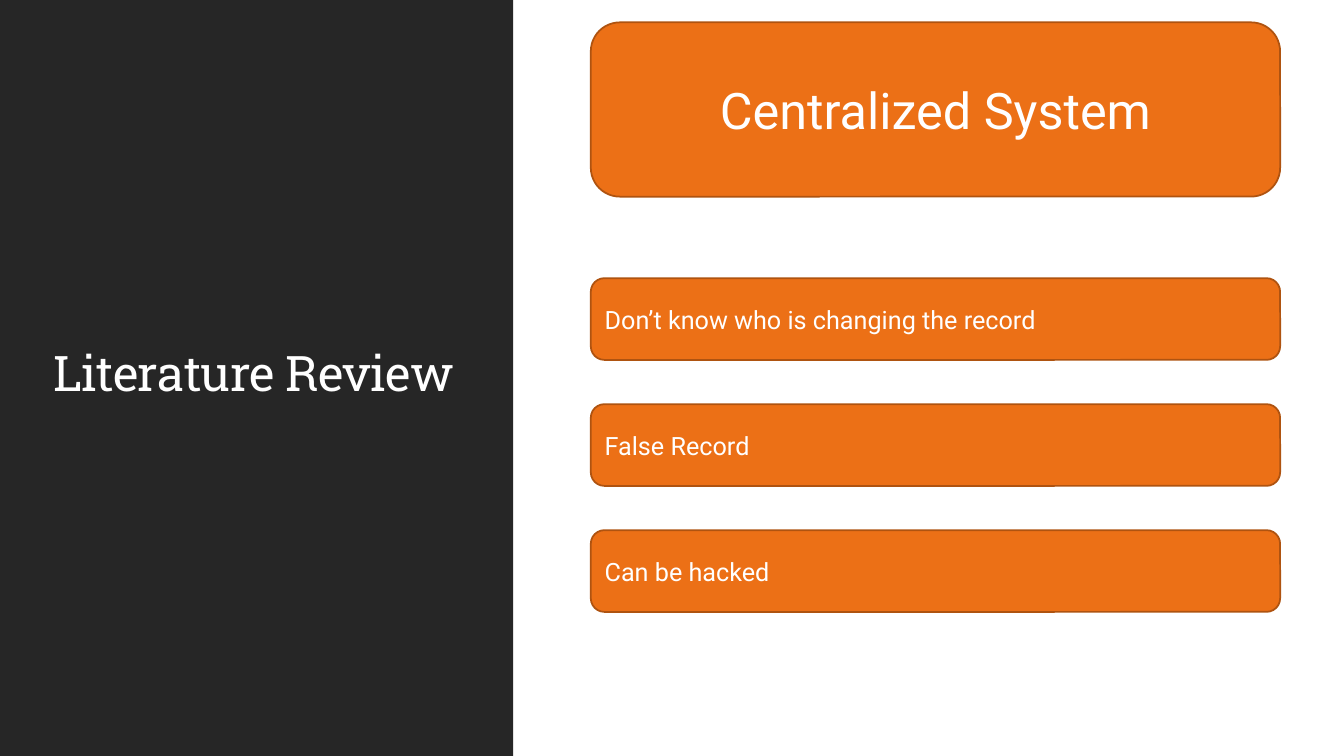
"""Builds the literature review slide on centralized systems."""
from dataclasses import dataclass

from pptx import Presentation
from pptx.dml.color import RGBColor
from pptx.enum.shapes import MSO_SHAPE
from pptx.enum.text import MSO_ANCHOR, PP_ALIGN
from pptx.util import Pt

RECTANGLE = MSO_SHAPE.RECTANGLE
ROUNDED = MSO_SHAPE.ROUNDED_RECTANGLE
MIDDLE, BOTTOM = MSO_ANCHOR.MIDDLE, MSO_ANCHOR.BOTTOM
LEFT, CENTER = PP_ALIGN.LEFT, PP_ALIGN.CENTER
BLANK_LAYOUT = 6

CARD_LEFT, CARD_WIDTH = 422, 492.4
POINTS_TOP, POINT_HEIGHT, POINT_PITCH = 198.7, 58.4, 90
POINTS = ["Don’t know who is changing the record", "False Record", "Can be hacked"]


@dataclass(frozen=True)
class Theme:
    """Colours, fonts and type sizes of the slide."""

    panel: RGBColor = RGBColor.from_string("262626")
    card: RGBColor = RGBColor.from_string("EC7016")
    outline: RGBColor = RGBColor.from_string("AF5310")
    text: RGBColor = RGBColor.from_string("FFFFFF")
    title_font: str = "Roboto Slab"
    body_font: str = "Roboto"
    title_size: float = 35
    heading_size: float = 36
    point_size: float = 18
    outline_width: float = 1.25


THEME = Theme()


def add_block(page, kind, left, top, width, height, fill):
    """Add a flat filled shape without outline."""
    block = page.shapes.add_shape(kind, Pt(left), Pt(top), Pt(width), Pt(height))
    block.shadow.inherit = False
    block.fill.solid()
    block.fill.fore_color.rgb = fill
    block.line.fill.background()
    return block


def write(shape, words, font, size, anchor, align=LEFT):
    """Write one formatted paragraph into a shape and return it."""
    frame = shape.text_frame
    frame.word_wrap = True
    frame.vertical_anchor = anchor
    frame.text = words
    para = frame.paragraphs[0]
    para.alignment = align
    for span in para.runs:
        span.font.name = font
        span.font.size = Pt(size)
        span.font.color.rgb = THEME.text
    return para


def add_title(page, words):
    """Add the title on the dark panel, with tight letter and line spacing."""
    box = page.shapes.add_textbox(Pt(31), Pt(126), Pt(312), Pt(165))
    para = write(box, words, THEME.title_font, THEME.title_size, BOTTOM)
    para.line_spacing = 0.9
    for span in para.runs:
        span._r.get_or_add_rPr().set("spc", "-50")


def add_card(page, words, top, height, size, align=LEFT):
    """Add an outlined rounded card with its text."""
    card = add_block(page, ROUNDED, CARD_LEFT, top, CARD_WIDTH, height, THEME.card)
    card.line.color.rgb = THEME.outline
    card.line.width = Pt(THEME.outline_width)
    write(card, words, THEME.body_font, size, MIDDLE, align)


def main():
    """Build the slide and save the deck."""
    deck = Presentation()
    deck.slide_width, deck.slide_height = Pt(960), Pt(540)
    page = deck.slides.add_slide(deck.slide_layouts[BLANK_LAYOUT])
    add_block(page, RECTANGLE, 0, 0, 366.5, 540, THEME.panel)
    add_title(page, "Literature Review")
    add_card(page, "Centralized System", 16, 124.5, THEME.heading_size, CENTER)
    for index, words in enumerate(POINTS):
        top = POINTS_TOP + index * POINT_PITCH
        add_card(page, words, top, POINT_HEIGHT, THEME.point_size)
    deck.save("out.pptx")


if __name__ == "__main__":
    main()
